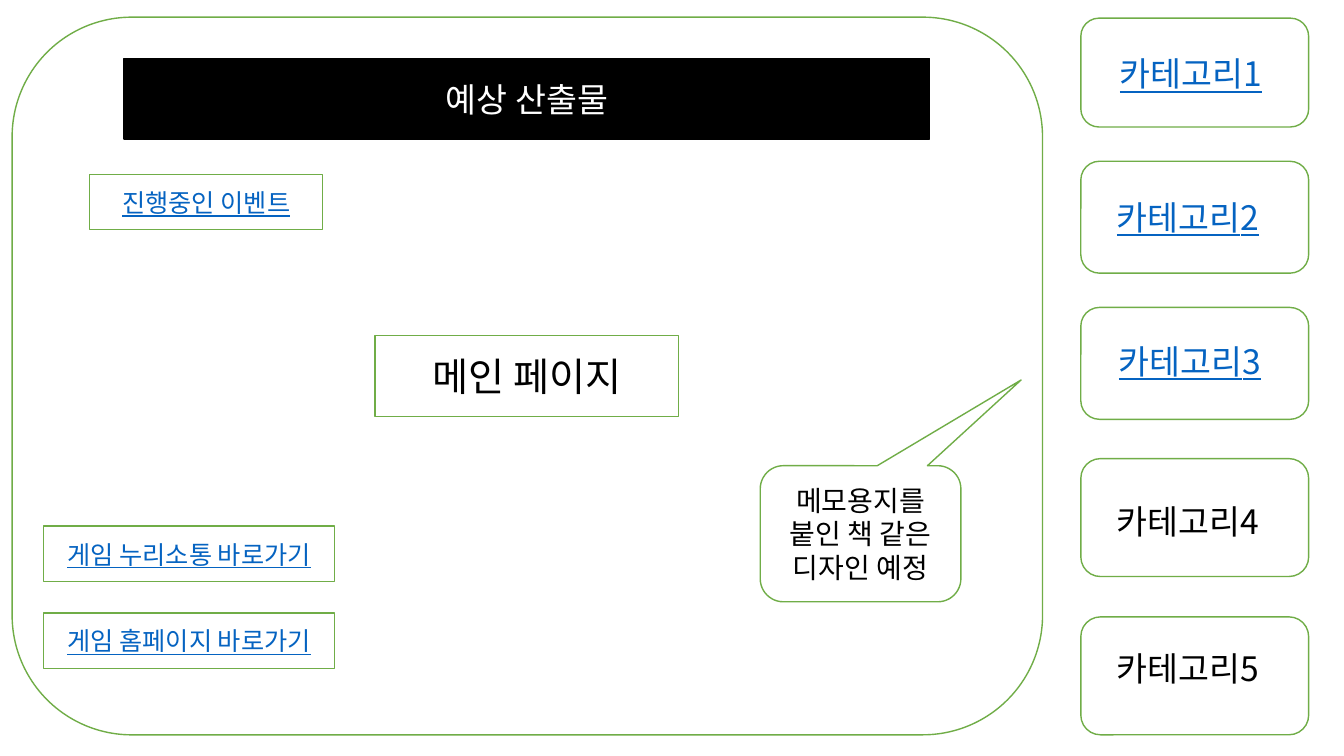
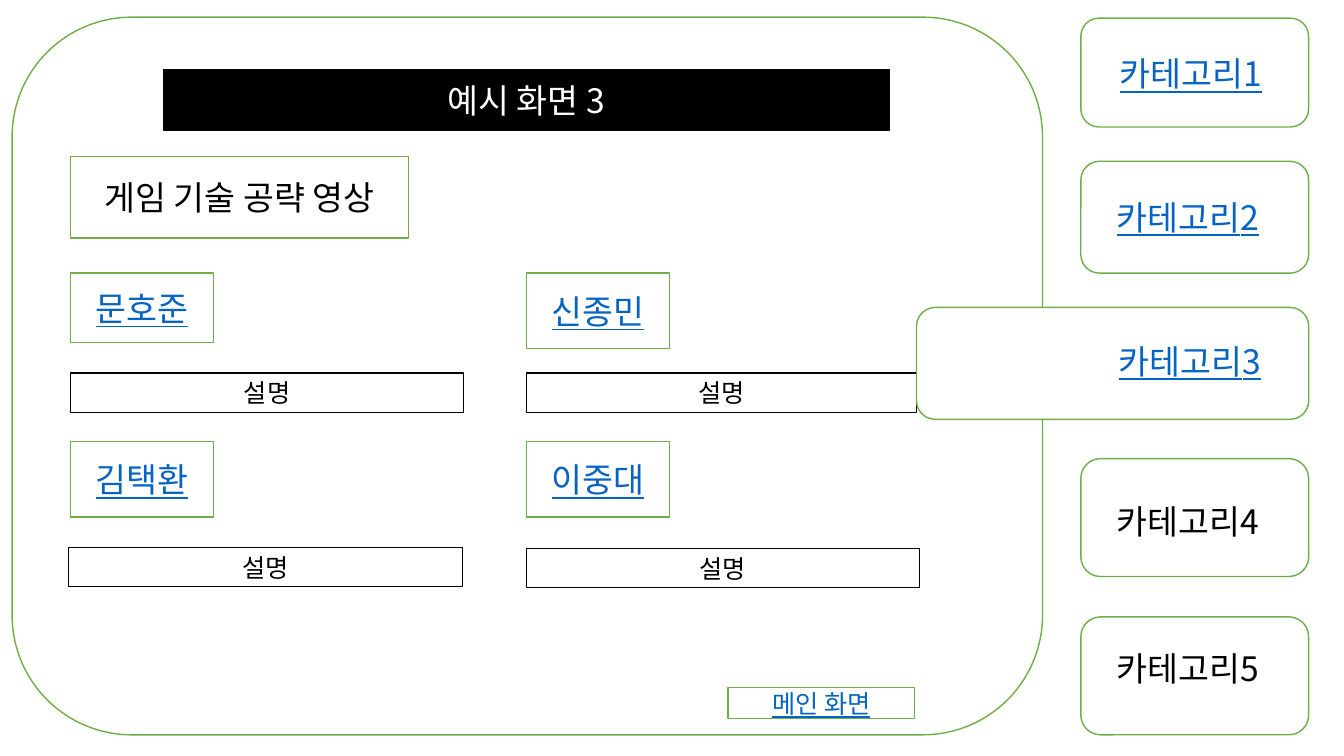
from dataclasses import dataclass
from typing import NamedTuple

from lxml.etree import SubElement
from pptx import Presentation
from pptx.dml.color import RGBColor
from pptx.enum.shapes import MSO_SHAPE as Preset
from pptx.enum.text import MSO_ANCHOR as Anchor, MSO_AUTO_SIZE as AutoSize, PP_ALIGN as Align
from pptx.oxml.ns import qn
from pptx.shapes.autoshape import Shape
from pptx.slide import Slide
from pptx.util import Inches, Pt


@dataclass(frozen=True)
class Theme:
    font: str = "Noto Sans CJK KR"
    white: RGBColor = RGBColor(0xFF, 0xFF, 0xFF)
    black: RGBColor = RGBColor(0x00, 0x00, 0x00)
    green: RGBColor = RGBColor(0x70, 0xAD, 0x47)
    link: RGBColor = RGBColor(0x05, 0x63, 0xC1)
    line_width: float = 1
    small: int = 18
    note: int = 20
    heading: int = 24
    main: int = 28


THEME = Theme()


class Area(NamedTuple):
    left: float
    top: float
    width: float
    height: float


@dataclass(frozen=True)
class Box:
    area: Area
    text: str = ""
    size: int = THEME.small
    color: RGBColor = THEME.black
    fill: RGBColor = THEME.white
    line: RGBColor = THEME.green
    underline: bool = False
    preset: Preset = Preset.RECTANGLE
    adjustments: tuple[float, ...] = ()


@dataclass(frozen=True)
class Tab:
    number: int
    top: float
    height: float
    label: Area
    linked: bool


TAB_LEFT, TAB_RIGHT, OPEN_TAB_LEFT = 10.72, 12.98, 9.09
TABS = (
    Tab(1, 0.18, 1.08, Area(11.01, 0.48, 1.72, 0.5), True),
    Tab(2, 1.6, 1.11, Area(10.98, 1.9, 1.74, 0.5), True),
    Tab(3, 3.05, 1.11, Area(11, 3.33, 1.76, 0.5), True),
    Tab(4, 4.55, 1.17, Area(10.98, 4.92, 1.79, 0.5), False),
    Tab(5, 6.12, 1.17, Area(10.98, 6.38, 1.84, 0.5), False),
)
PAGE = Box(Area(0.12, 0.17, 10.22, 7.12), preset=Preset.ROUNDED_RECTANGLE)


def lengths(area: Area) -> list[Inches]:
    return [Inches(value) for value in area]


def title(area: Area, text: str) -> Box:
    return Box(area, text, THEME.heading, THEME.white, THEME.black, THEME.black)


def link(area: Area, text: str, size: int = THEME.small) -> Box:
    return Box(area, text, size, THEME.link, underline=True)


def description(area: Area) -> Box:
    return Box(area, "설명", line=THEME.black)


def write_text(shape: Shape, text: str, size: int, color: RGBColor, underline: bool) -> None:
    run = shape.text_frame.paragraphs[0].add_run()
    run.text = text
    formats = {"name": THEME.font, "size": Pt(size), "underline": underline or None}
    for name, value in formats.items():
        setattr(run.font, name, value)
    run.font.color.rgb = color
    SubElement(run.font._element, qn("a:ea"), typeface=THEME.font)


def draw_box(slide: Slide, box: Box) -> None:
    shape = slide.shapes.add_shape(box.preset, *lengths(box.area))
    shape.shadow.inherit = False
    shape.fill.solid()
    shape.fill.fore_color.rgb = box.fill
    shape.line.color.rgb = box.line
    shape.line.width = Pt(THEME.line_width)
    for index, value in enumerate(box.adjustments):
        shape.adjustments[index] = value
    if box.text:
        shape.text_frame.vertical_anchor = Anchor.MIDDLE
        shape.text_frame.paragraphs[0].alignment = Align.CENTER
        write_text(shape, box.text, box.size, box.color, box.underline)


def draw_tabs(slide: Slide, open_tab: int) -> None:
    for tab in TABS:
        left = OPEN_TAB_LEFT if tab.number == open_tab else TAB_LEFT
        area = Area(left, tab.top, TAB_RIGHT - left, tab.height)
        draw_box(slide, Box(area, preset=Preset.ROUNDED_RECTANGLE))
    for tab in TABS:
        label = slide.shapes.add_textbox(*lengths(tab.label))
        formats = {"word_wrap": True, "auto_size": AutoSize.SHAPE_TO_FIT_TEXT}
        for name, value in formats.items():
            setattr(label.text_frame, name, value)
        color = THEME.link if tab.linked else THEME.black
        write_text(label, f"카테고리{tab.number}", THEME.heading, color, tab.linked)


def add_page(presentation: Presentation, boxes: tuple[Box, ...], open_tab: int = 0) -> None:
    slide = presentation.slides.add_slide(presentation.slide_layouts[6])
    for box in (PAGE, *boxes):
        draw_box(slide, box)
    draw_tabs(slide, open_tab)


MAIN_PAGE = (
    Box(Area(3.72, 3.33, 3.01, 0.8), "메인 페이지", THEME.main),
    title(Area(1.23, 0.58, 7.99, 0.8), "예상 산출물"),
    link(Area(0.43, 6.08, 2.89, 0.55), "게임 홈페이지 바로가기"),
    link(Area(0.43, 5.22, 2.89, 0.55), "게임 누리소통 바로가기"),
    link(Area(0.89, 1.73, 2.31, 0.55), "진행중인 이벤트"),
    Box(
        Area(7.54, 4.62, 1.99, 1.35),
        "메모용지를 붙인 책 같은 디자인 예정",
        THEME.note,
        preset=Preset.ROUNDED_RECTANGULAR_CALLOUT,
        adjustments=(0.8, -1.13, 0.17),
    ),
)

VIDEO_PAGE = (
    link(Area(7.22, 6.82, 1.85, 0.31), "메인 화면"),
    title(Area(1.62, 0.69, 7.2, 0.6), "예시 화면 3"),
    Box(Area(0.7, 1.55, 3.35, 0.81), "게임 기술 공략 영상", THEME.heading),
    link(Area(0.7, 2.71, 1.42, 0.69), "문호준", THEME.heading),
    link(Area(0.7, 4.38, 1.42, 0.75), "김택환", THEME.heading),
    link(Area(5.22, 2.71, 1.42, 0.75), "신종민", THEME.heading),
    link(Area(5.22, 4.38, 1.42, 0.75), "이중대", THEME.heading),
    description(Area(0.7, 3.7, 3.9, 0.39)),
    description(Area(0.68, 5.43, 3.91, 0.39)),
    description(Area(5.22, 3.7, 3.87, 0.39)),
    description(Area(5.22, 5.44, 3.9, 0.39)),
)


def main() -> None:
    presentation = Presentation()
    presentation.slide_width = Inches(13.33)
    presentation.slide_height = Inches(7.5)
    add_page(presentation, MAIN_PAGE)
    add_page(presentation, VIDEO_PAGE, open_tab=3)
    presentation.save("out.pptx")


if __name__ == "__main__":
    main()
